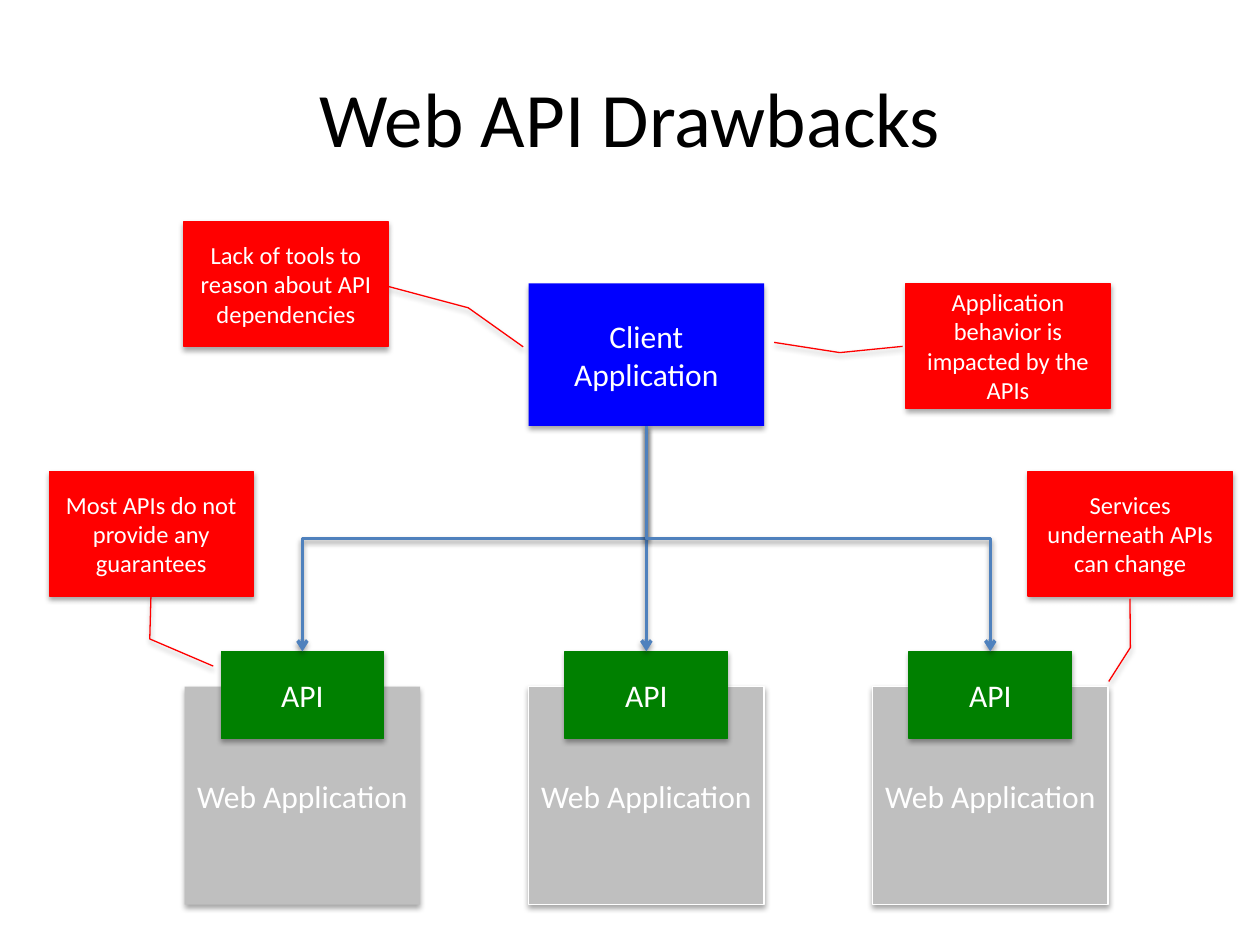
from lxml import etree
from pptx import Presentation
from pptx.dml.color import RGBColor
from pptx.enum.shapes import MSO_CONNECTOR, MSO_SHAPE
from pptx.enum.text import MSO_ANCHOR, PP_ALIGN
from pptx.oxml.ns import qn
from pptx.util import Inches, Pt

RECT, CALLOUT = MSO_SHAPE.RECTANGLE, MSO_SHAPE.LINE_CALLOUT_2
STRAIGHT, ELBOW = MSO_CONNECTOR.STRAIGHT, MSO_CONNECTOR.ELBOW
MIDDLE, CENTER = MSO_ANCHOR.MIDDLE, PP_ALIGN.CENTER

BLACK = RGBColor(0x00, 0x00, 0x00)
WHITE = RGBColor(0xFF, 0xFF, 0xFF)
GREY = RGBColor(0xBF, 0xBF, 0xBF)
GREEN = RGBColor(0x00, 0x80, 0x00)
BLUE = RGBColor(0x00, 0x00, 0xFF)
RED = RGBColor(0xFF, 0x00, 0x00)
STEEL = RGBColor(0x4F, 0x81, 0xBD)

# Three columns around the client, in inches
MIDDLE_X, PITCH = 5.13, 2.73
COLUMNS = [MIDDLE_X + i * PITCH for i in (-1, 0, 1)]
CLIENT_TOP, CLIENT_H = 2.25, 1.13
CLIENT_BOTTOM = CLIENT_TOP + CLIENT_H
APP_W, APP_TOP, APP_H = 1.87, 5.45, 1.73
API_W, API_TOP, API_H = 1.29, 5.17, 0.69
NOTE_W, NOTE_H = 1.62, 0.99

# Left, top, text, and the leader's points as (y, x) shares of the note
NOTES = [
    (7.19, 2.25, "Application behavior is impacted by the APIs",
     (0.504, -0.017, 0.554, -0.324, 0.472, -0.646)),
    (0.39, 3.74, "Most APIs do not provide any guarantees",
     (0.981, 0.499, 1.344, 0.493, 1.562, 0.804)),
    (8.16, 3.74, "Services underneath APIs can change",
     (1.022, 0.499, 1.413, 0.501, 1.685, 0.395)),
    (1.46, 1.76, "Lack of tools to reason about API dependencies",
     (0.518, 0.999, 0.69, 1.393, 1.003, 1.662)),
]


def add_shadow(sp, alpha, dist):
    effects = etree.SubElement(sp._element.spPr, qn("a:effectLst"))
    shadow = etree.SubElement(
        effects, qn("a:outerShdw"), blurRad=str(Pt(3.1)), dist=str(Pt(dist)),
        dir="5400000", rotWithShape="0")
    color = etree.SubElement(shadow, qn("a:srgbClr"), val=str(BLACK))
    etree.SubElement(color, qn("a:alpha"), val=str(alpha * 1000))


def set_text(sp, text, size, color):
    tf = sp.text_frame
    tf.text = text
    tf.word_wrap = True
    tf.vertical_anchor = MIDDLE
    for p in tf.paragraphs:
        p.alignment = CENTER
        for r in p.runs:
            r.font.name = "Calibri"
            r.font.size = Pt(size)
            r.font.color.rgb = color


def add_title(slide, text):
    box = slide.shapes.add_textbox(
        Inches(0.5), Inches(0.3), Inches(9), Inches(1.25))
    set_text(box, text, 44, BLACK)


def add_box(slide, left, top, width, height, text, fill, line=None,
            size=18, kind=RECT):
    sp = slide.shapes.add_shape(
        kind, Inches(left), Inches(top), Inches(width), Inches(height))
    sp.fill.solid()
    sp.fill.fore_color.rgb = fill
    if line is None:
        sp.line.fill.background()
    else:
        sp.line.color.rgb = line
        sp.line.width = Pt(0.75)
    add_shadow(sp, 35, 1.8)
    set_text(sp, text, size, WHITE)
    return sp


def add_note(slide, left, top, text, leader):
    sp = add_box(slide, left, top, NOTE_W, NOTE_H, text, RED, RED, 14, CALLOUT)
    for i, share in enumerate(leader):
        sp.adjustments[i] = share


def add_arrow(slide, x):
    """Arrow from the client's bottom down to the API box centred on x."""
    run, drop = x - MIDDLE_X, API_TOP - CLIENT_BOTTOM
    if run == 0:
        kind, rotation = STRAIGHT, 0
        x1, y1, x2, y2 = x, CLIENT_BOTTOM, x, API_TOP
    else:
        # An elbow leaves sideways, so it is laid flat and turned to go down
        kind, rotation = ELBOW, 270 if run > 0 else 90
        cx, cy = (x + MIDDLE_X) / 2, (CLIENT_BOTTOM + API_TOP) / 2
        half = drop / 2 if run < 0 else -drop / 2
        x1, y1 = cx - half, cy - abs(run) / 2
        x2, y2 = cx + half, cy + abs(run) / 2
    arrow = slide.shapes.add_connector(
        kind, Inches(x1), Inches(y1), Inches(x2), Inches(y2))
    if rotation:
        arrow._element.spPr.find(qn("a:xfrm")).set("rot", str(rotation * 60000))
    arrow.line.color.rgb = STEEL
    arrow.line.width = Pt(2)
    etree.SubElement(
        arrow._element.spPr.find(qn("a:ln")), qn("a:tailEnd"), type="arrow")
    add_shadow(arrow, 38, 1.6)


def main():
    prs = Presentation()
    prs.slide_width, prs.slide_height = Inches(10), Inches(7.5)
    slide = prs.slides.add_slide(prs.slide_layouts[6])

    add_title(slide, "Web API Drawbacks")

    # Web applications, each behind its API
    for x, border in zip(COLUMNS, (None, WHITE, WHITE)):
        add_box(slide, x - APP_W / 2, APP_TOP, APP_W, APP_H,
                "Web Application", GREY, border)
        add_box(slide, x - API_W / 2, API_TOP, API_W, API_H,
                "API", GREEN, GREEN)

    # Client and its calls to the APIs
    add_box(slide, MIDDLE_X - APP_W / 2, CLIENT_TOP, APP_W, CLIENT_H,
            "Client\nApplication", BLUE)
    for x in COLUMNS:
        add_arrow(slide, x)

    # Drawbacks
    for note in NOTES:
        add_note(slide, *note)

    prs.save("out.pptx")


if __name__ == "__main__":
    main()
